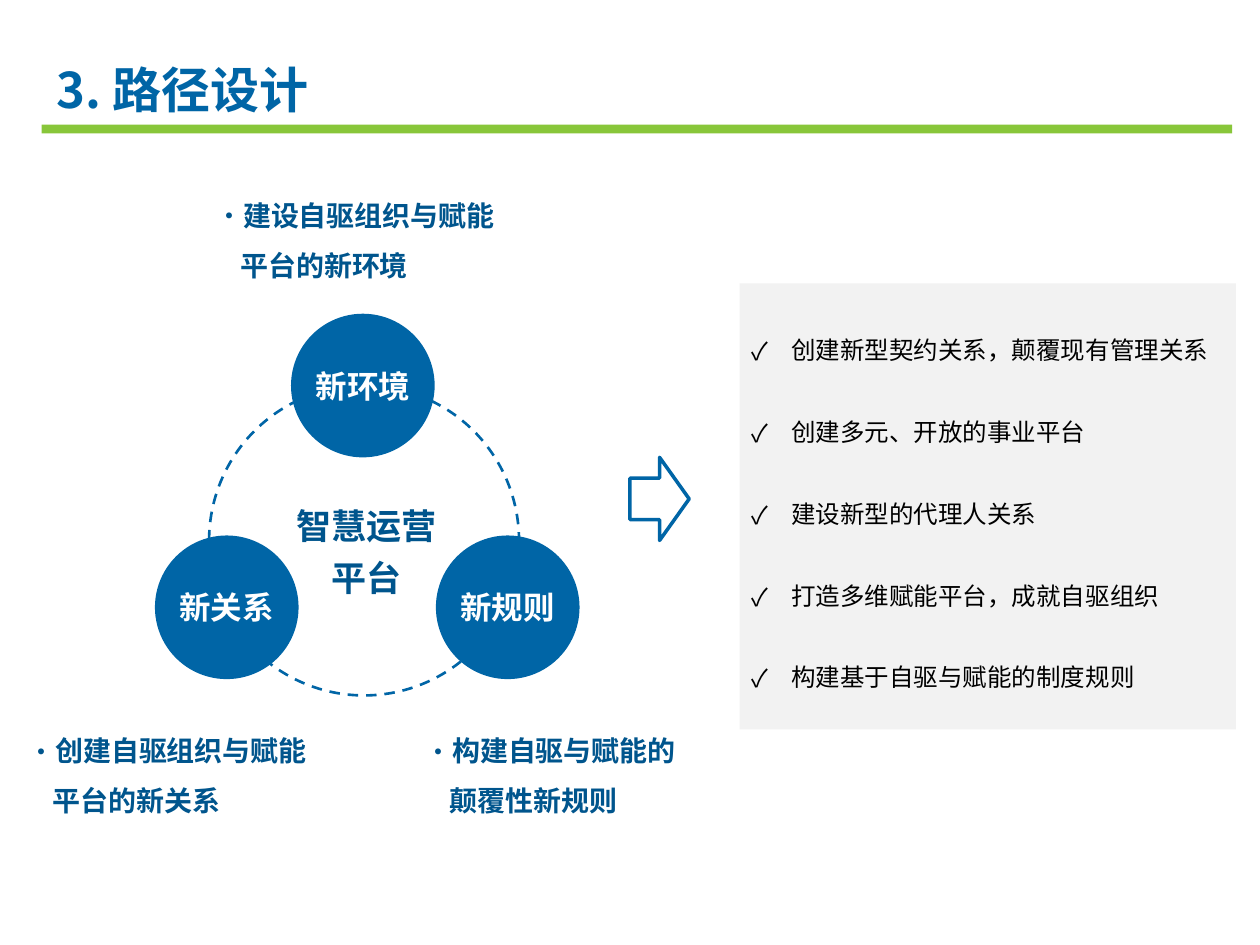
"""Build the path design slide: a three-node platform ring leading to a checklist."""
from lxml import etree
from pptx import Presentation, util as u
from pptx.dml.color import RGBColor
from pptx.enum import dml, shapes, text
from pptx.oxml.ns import qn

FONT = "Noto Sans CJK SC"
COLORS = {"blue": "0065A6", "navy": "00558D", "green": "88C63A",
          "panel": "F2F2F2", "white": "FFFFFF", "black": "000000"}
TITLE = "3. 路径设计"
CENTER = ["智慧运营", "平台"]
NODES = [("新环境", 2.31, 2.49), ("新关系", 1.23, 4.25), ("新规则", 3.46, 4.25)]
NODE_SIZE = 1.14
CALLOUTS = [("建设自驱组织与赋能平台的新环境", 1.61, 1.39, 2.52),
            ("创建自驱组织与赋能平台的新关系", 0.12, 5.64, 2.44),
            ("构建自驱与赋能的颠覆性新规则", 3.27, 5.64, 2.27)]
CHECKS = ["创建新型契约关系，颠覆现有管理关系", "创建多元、开放的事业平台",
          "建设新型的代理人关系", "打造多维赋能平台，成就自驱组织",
          "构建基于自驱与赋能的制度规则"]
CHECK_TOP, CHECK_STEP = 2.51, 0.65

STYLES = {
    "title": dict(size=28, bold=True, color="blue", spacing=1.25, indent=0.31,
                  anchor=text.MSO_ANCHOR.MIDDLE),
    "node": dict(size=18, bold=True, color="white", align=text.PP_ALIGN.CENTER,
                 anchor=text.MSO_ANCHOR.MIDDLE, margin=0),
    "center": dict(size=20, bold=True, color="navy", spacing=1.25,
                   align=text.PP_ALIGN.CENTER, grow=True),
    "check": dict(size=14, bold=False, color="black", indent=0.31, bullet="✓",
                  anchor=text.MSO_ANCHOR.MIDDLE),
    "callout": dict(size=16, bold=True, color="navy", spacing=1.5, indent=0.2,
                    bullet="•", grow=True),
}


def rgb(name):
    return RGBColor.from_string(COLORS[name])


def add_figure(s, kind, box, fill=None, line=None, width=1, dash=None):
    sp = s.shapes.add_shape(kind, *map(u.Inches, box))
    sp.shadow.inherit = False
    if fill:
        sp.fill.solid()
        sp.fill.fore_color.rgb = rgb(fill)
    else:
        sp.fill.background()
    if line:
        sp.line.color.rgb = rgb(line)
        sp.line.width = u.Pt(width)
        sp.line.dash_style = dash
    else:
        sp.line.fill.background()
    return sp


def write(sp, lines, style):
    tf = sp.text_frame
    tf.word_wrap = True
    tf.vertical_anchor = style.get("anchor", text.MSO_ANCHOR.TOP)
    if style.get("grow"):
        tf.auto_size = text.MSO_AUTO_SIZE.SHAPE_TO_FIT_TEXT
    if "margin" in style:
        for side in ("left", "top", "right", "bottom"):
            setattr(tf, f"margin_{side}", u.Inches(style["margin"]))
    for i, line in enumerate(lines):
        p = tf.paragraphs[0] if i == 0 else tf.add_paragraph()
        p.alignment = style.get("align", text.PP_ALIGN.LEFT)
        p.line_spacing = style.get("spacing", 1.0)
        pPr = p._p.get_or_add_pPr()
        if "indent" in style:
            indent = u.Inches(style["indent"])
            pPr.set("marL", str(indent))
            pPr.set("indent", str(-indent))
        if "bullet" in style:
            etree.SubElement(pPr, qn("a:buFont"), typeface=FONT)
            etree.SubElement(pPr, qn("a:buChar"), char=style["bullet"])
        r = p.add_run()
        r.text = line
        font = {"name": FONT, "size": u.Pt(style["size"]), "bold": style["bold"]}
        for key, value in font.items():
            setattr(r.font, key, value)
        r.font.color.rgb = rgb(style["color"])
        etree.SubElement(r._r.get_or_add_rPr(), qn("a:ea"), typeface=FONT)


def add_text(s, box, lines, style):
    write(s.shapes.add_textbox(*map(u.Inches, box)), lines, STYLES[style])


def main():
    prs = Presentation()
    prs.slide_width, prs.slide_height = u.Inches(10), u.Inches(7.5)
    s = prs.slides.add_slide(prs.slide_layouts[6])
    kind = shapes.MSO_SHAPE

    add_figure(s, kind.RECTANGLE, (0.33, 0.99, 9.45, 0.07), fill="green")
    add_figure(s, kind.RECTANGLE, (5.87, 2.25, 3.94, 3.54), fill="panel")
    add_text(s, (0.35, 0.38, 9.37, 0.53), [TITLE], "title")

    add_figure(s, kind.OVAL, (1.66, 3.06, 2.46, 2.46), line="blue", width=1.5,
               dash=dml.MSO_LINE.DASH)
    for label, x, y in NODES:
        sp = add_figure(s, kind.OVAL, (x, y, NODE_SIZE, NODE_SIZE), fill="blue")
        write(sp, [label], STYLES["node"])
    add_text(s, (2.2, 3.87, 1.42, 0.94), CENTER, "center")

    for i, label in enumerate(CHECKS):
        add_text(s, (5.87, CHECK_TOP + i * CHECK_STEP, 3.9, 0.53), [label], "check")
    for label, x, y, w in CALLOUTS:
        add_text(s, (x, y, w, 0.86), [label], "callout")
    add_figure(s, kind.RIGHT_ARROW, (5, 3.63, 0.47, 0.66), line="blue", width=2)

    prs.save("out.pptx")


if __name__ == "__main__":
    main()
